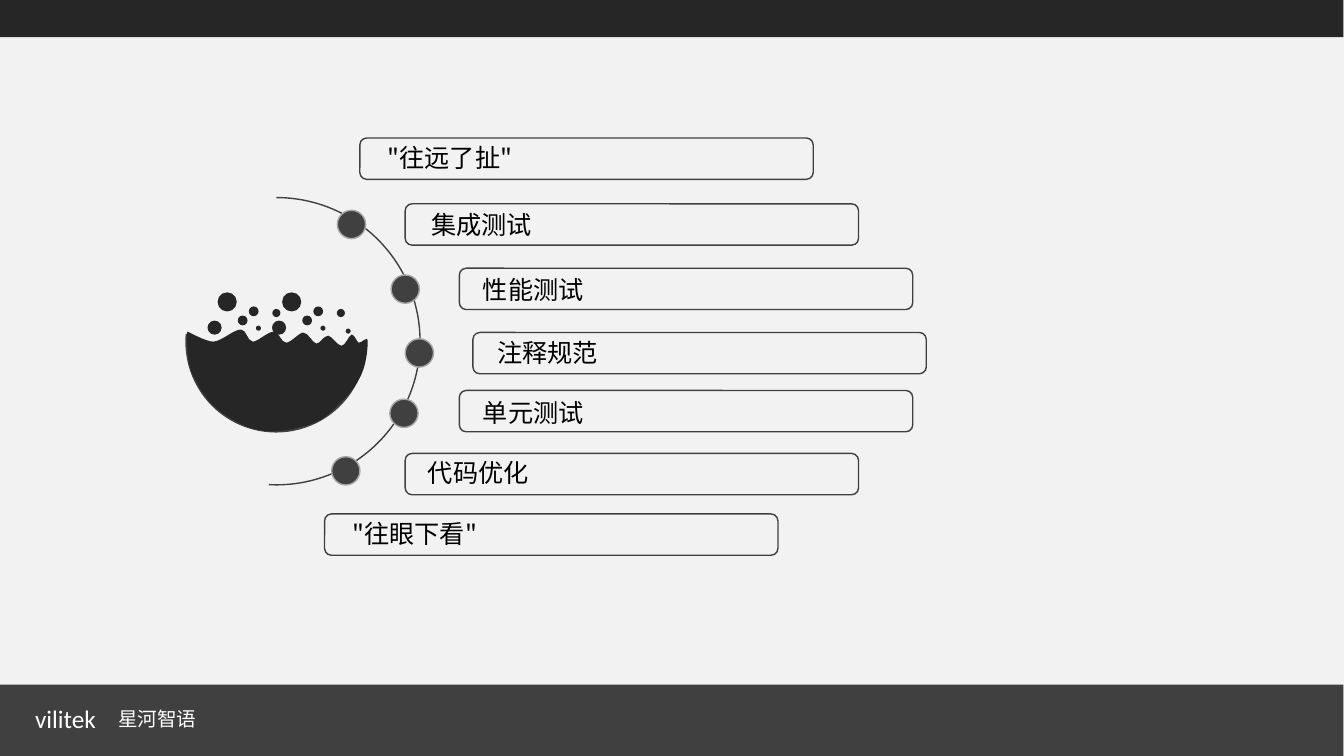
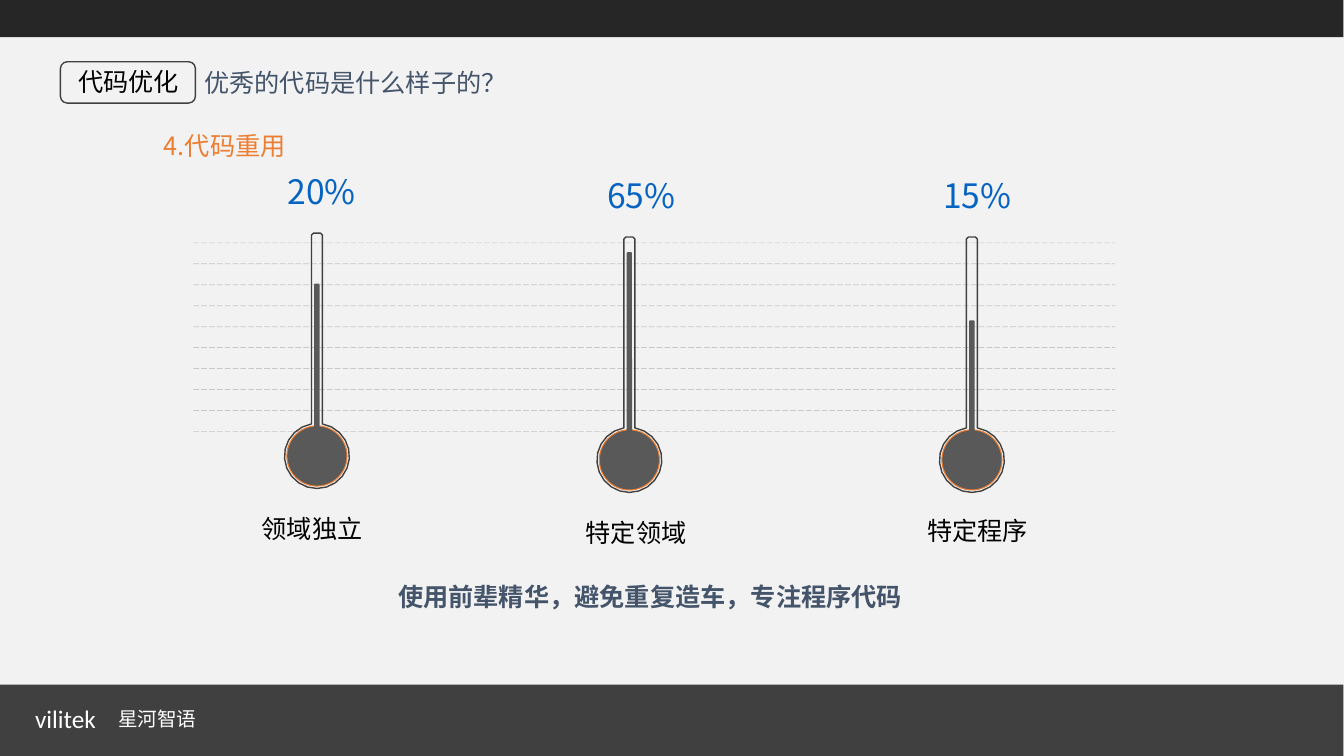
import math
import pptx
import pptx.dml.color
import pptx.enum.dml
import pptx.enum.shapes
import pptx.oxml
import pptx.oxml.ns
import pptx.util

Pt = pptx.util.Pt
RGB = pptx.dml.color.RGBColor.from_string
MSO = pptx.enum.shapes.MSO_SHAPE
qn = pptx.oxml.ns.qn
CJK = "Noto Sans CJK SC"
COLORS = {
    "paper": "F2F2F2", "dark": "262626", "band": "404040", "mercury": "595959",
    "rim": "A6A6A6", "grid": "BFBFBF", "text": "000000", "white": "FFFFFF",
    "slate": "44546A", "orange": "ED7D31", "blue": "0563C1",
}


def style(sp, fill=None, line=None, weight=1):
    sp.shadow.inherit = False
    if fill:
        sp.fill.solid()
        sp.fill.fore_color.rgb = RGB(COLORS[fill])
    else:
        sp.fill.background()
    if line:
        sp.line.color.rgb = RGB(COLORS[line])
        sp.line.width = Pt(weight)
    else:
        sp.line.fill.background()
    return sp


def write(s, text, x, y, w, h=28.8, size=18, color="text", font=CJK, bold=False):
    sp = s.shapes.add_textbox(*map(Pt, (x, y, w, h)))
    tf = sp.text_frame
    tf.word_wrap = True
    r = tf.paragraphs[0].add_run()
    r.text = text
    r.font.size = Pt(size)
    r.font.bold = bold
    r.font.name = font
    r.font.color.rgb = RGB(COLORS[color])
    ea = pptx.oxml.parse_xml(
        '<a:ea xmlns:a="http://schemas.openxmlformats.org/drawingml/2006/main" '
        f'typeface="{CJK}"/>')
    r.font._element.find(qn("a:latin")).addnext(ea)


prs = pptx.Presentation()
prs.slide_width, prs.slide_height = Pt(960.5), Pt(540)
bg = prs.slide_master.background.fill
bg.solid()
bg.fore_color.rgb = RGB(COLORS["paper"])

for _ in range(2):
    s = prs.slides.add_slide(prs.slide_layouts[6])
    for y, h, fill in [(489, 51, "band"), (0, 26.6, "dark")]:
        style(s.shapes.add_shape(MSO.RECTANGLE, 0, Pt(y), Pt(960), Pt(h)), fill)
    write(s, "vilitek", 18, 499, 61.2, color="white", font="Calibri")
    write(s, "星河智语", 77.3, 501.4, 131, 24.5, size=14, color="white")

overview, reuse = prs.slides

s = overview
for x, y, size, start, end, weight in [
    (133.2, 180, 128.2, 0, 185, 1.5),
    (95, 141.1, 205.2, 270, 93, 1),
]:
    sp = s.shapes.add_shape(MSO.ARC, *map(Pt, (x, y, size, size)))
    style(sp, line="band", weight=weight)
    sp.adjustments[0], sp.adjustments[1] = start * 0.6, end * 0.6

wave_start = (133.9, 236.9)
wave_curves = [
    (134.6, 236.9, 146.9, 244.1, 152.6, 244.1),
    (159.1, 243.4, 167, 235.4, 172.1, 235.4),
    (176.4, 235.4, 176.4, 243.4, 180.7, 244.1),
    (184.3, 244.1, 191.5, 236.9, 195.8, 236.9),
    (199.4, 236.9, 200.9, 244.8, 204.5, 244.8),
    (208.1, 244.8, 213.8, 237.6, 216.7, 237.6),
    (220.3, 237.6, 223.2, 244.8, 226.1, 245.5),
    (229, 245.5, 231.1, 239.8, 234.7, 239.8),
    (237.6, 240.5, 241.2, 247, 244.1, 247),
    (247, 247, 249.1, 239.8, 251.3, 239),
    (253.4, 239, 254.9, 244.1, 256.3, 244.8),
    (258.5, 245.5, 262.8, 239, 262.8, 244.1),
    (262.8, 248.4, 262.1, 262.1, 256.3, 271.4),
    (251.3, 280.8, 239, 293, 231.8, 298.1),
    (224.6, 303.8, 205.9, 308.2, 194.4, 308.2),
    (182.2, 307.4, 174.2, 305.3, 161.3, 296.6),
    (149, 288.7, 144, 279.4, 139.7, 271.4),
    (134.6, 263.5, 134.6, 254.9, 133.9, 249.1),
    (133.2, 243.4, 133.9, 236.2, 133.9, 236.9),
]
fb = s.shapes.build_freeform(*map(Pt, wave_start))
fb.add_line_segments(
    [(Pt(c[i]), Pt(c[i + 1])) for c in wave_curves for i in (0, 2, 4)], close=True)
wave = style(fb.convert_to_shape(), "dark")
segments = list(wave._element.iter(qn("a:lnTo")))
for i in range(0, 3 * len(wave_curves), 3):
    curve = segments[i].makeelement(qn("a:cubicBezTo"))
    segments[i].addprevious(curve)
    for segment in segments[i:i + 3]:
        curve.append(segment[0])
        segment.getparent().remove(segment)

cluster = [(155.5, 208.8, 13.7), (177.8, 218.9, 7), (169.9, 225.4, 7),
           (182.9, 232.6, 3.6), (194.6, 220.7, 5.8), (148.3, 229, 10.1)]
bubbles = [(x + dx, y, d) for dx in (0, 46.1) for x, y, d in cluster]
for x, y, d in bubbles + [(247, 234.7, 3.6)]:
    style(s.shapes.add_shape(MSO.OVAL, *map(Pt, (x, y, d, d))), "dark")

for x, y in [(241.1, 150.2), (279.5, 196.4), (289.6, 242), (278.6, 285.1), (237, 326.2)]:
    sp = s.shapes.add_shape(MSO.OVAL, *map(Pt, (x, y, 20.2, 20.2)))
    style(sp, "band", "rim")

for text, x, y, tx, ty in [
    ('"往远了扯"', 257.2, 98.6, 270, 97.9),
    ("集成测试", 289.6, 145.6, 301, 146),
    ("性能测试", 328.3, 191.6, 338, 192.2),
    ("注释规范", 338, 237.5, 348.2, 237.6),
    ("单元测试", 328.3, 278.9, 338, 280),
    ("代码优化", 289.6, 323.9, 298.8, 323.3),
    ('"往眼下看"', 232, 367.1, 244.8, 366.5),
]:
    sp = s.shapes.add_shape(MSO.ROUNDED_RECTANGLE, *map(Pt, (x, y, 324, 29.5)))
    style(sp, line="band")
    write(s, text, tx, ty, 225)

s = reuse
sp = s.shapes.add_shape(MSO.ROUNDED_RECTANGLE, *map(Pt, (43.2, 44.1, 96.5, 29.5)))
style(sp, line="band")
write(s, "代码优化", 48.8, 43.9, 88, font="Calibri")
write(s, "优秀的代码是什么样子的？", 139, 44.6, 317.5, color="slate")
write(s, "4.代码重用", 110.1, 89.7, 333, color="orange")
write(s, "使用前辈精华，避免重复造车，专注程序代码", 277.5, 412, 384.5, color="slate", bold=True)

for i in range(10):
    y = Pt(173.5 + 14.96 * i)
    sp = s.shapes.add_connector(
        pptx.enum.shapes.MSO_CONNECTOR.STRAIGHT, Pt(138.2), y, Pt(797), y)
    sp.line.color.rgb = RGB(COLORS["grid"])
    sp.line.width = Pt(0.5)
    sp.line.dash_style = pptx.enum.dml.MSO_LINE.LONG_DASH
    pr = sp._element.spPr
    pr.find(".//" + qn("a:srgbClr")).append(pptx.oxml.parse_xml(
        '<a:alpha xmlns:a="http://schemas.openxmlformats.org/drawingml/2006/main" '
        'val="82000"/>'))
    pr.append(pr.makeelement(qn("a:effectLst")))

neck, rim, bulb, arc_steps = 3.9, 23.2, 21.5, 20
gap = math.degrees(math.asin(neck / rim))
for value, vx, vy, label, lx, ly, cx, top, level in [
    ("20%", 198.4, 118.4, "领域独立", 180, 363.3, 226.5, 166.5, 202.5),
    ("65%", 427, 121.3, "特定领域", 411.5, 365.8, 449.8, 169.3, 180.2),
    ("15%", 667.1, 121.3, "特定程序", 655.5, 364.3, 694.6, 169.3, 228.8),
]:
    cy = top + 159.2
    points = [(cx + neck - 1.4, top), (cx + neck, top + 1.4)]
    for i in range(arc_steps + 1):
        angle = math.radians(gap + (360 - 2 * gap) * i / arc_steps)
        points.append((cx + rim * math.sin(angle), cy - rim * math.cos(angle)))
    points.append((cx - neck, top + 1.4))
    fb = s.shapes.build_freeform(Pt(cx - neck + 1.4), Pt(top))
    fb.add_line_segments([(Pt(x), Pt(y)) for x, y in points], close=True)
    style(fb.convert_to_shape(), line="band")
    sp = s.shapes.add_shape(
        MSO.OVAL, *map(Pt, (cx - bulb, cy - bulb, 2 * bulb, 2 * bulb)))
    style(sp, "mercury", "orange", 0.75)
    sp = s.shapes.add_shape(
        MSO.ROUNDED_RECTANGLE, *map(Pt, (cx - 1.9, level, 3.8, top + 147.6 - level)))
    style(sp, "mercury")
    write(s, value, vx, vy, 88.6, 36, size=24, color="blue")
    write(s, label, lx, ly, 88.6)

prs.save("out.pptx")
